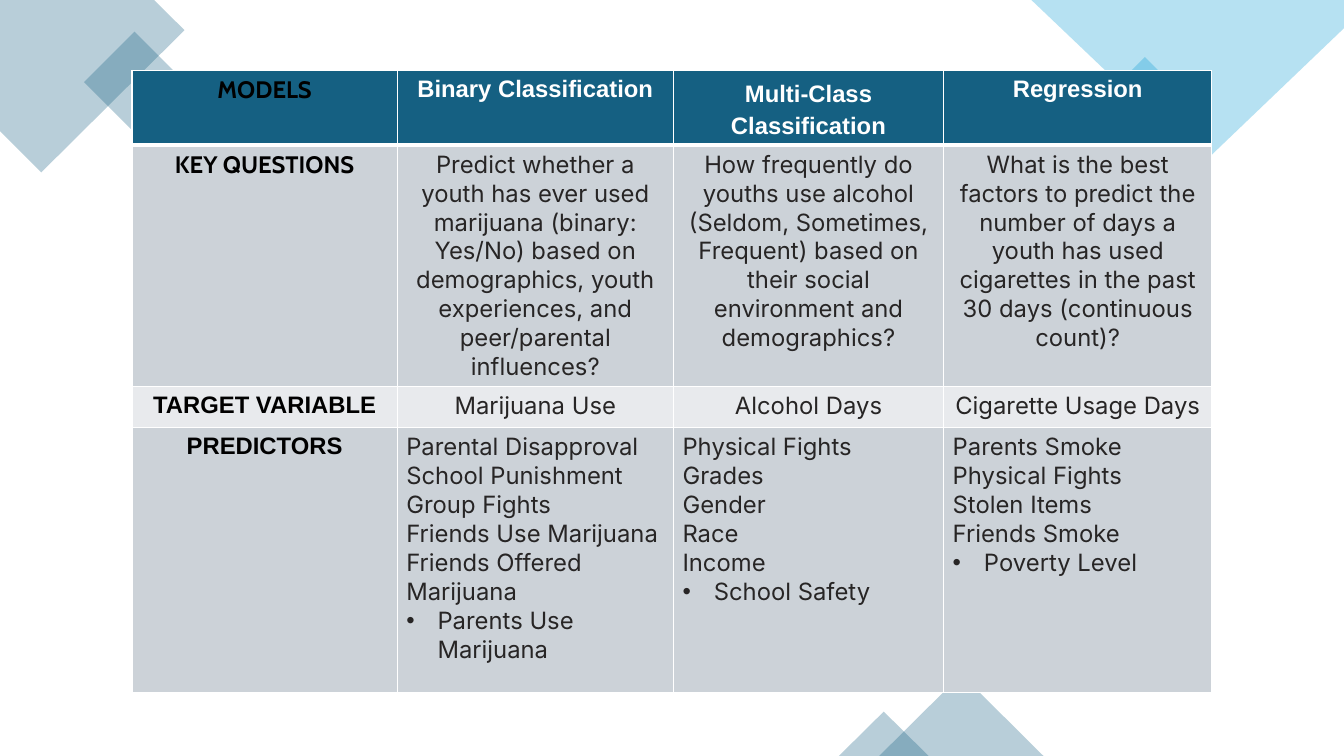
import pptx
import pptx.dml.color
import pptx.enum.shapes
import pptx.enum.text
import pptx.oxml.ns
import pptx.util
from lxml import etree

Inches = pptx.util.Inches
Pt = pptx.util.Pt
qn = pptx.oxml.ns.qn
SHAPES = pptx.enum.shapes.MSO_SHAPE
ALIGN = pptx.enum.text.PP_ALIGN

TEAL, SKY, WHITE, BLACK, INK = "156082", "0F9ED5", "FFFFFF", "000000", "272525"
BAND_DARK, BAND_LIGHT = "CCD2D8", "E8EAED"

HEADINGS = ["Binary Classification", "Multi-Class Classification", "Regression"]
QUESTIONS = [
    "Predict whether a youth has ever used marijuana (binary: Yes/No) based on "
    "demographics, youth experiences, and peer/parental influences?",
    "How frequently do youths use alcohol (Seldom, Sometimes, Frequent) based on "
    "their social environment and demographics?",
    "What is the best factors to predict the number of days a youth has used "
    "cigarettes in the past 30 days (continuous count)?",
]
TARGETS = ["Marijuana Use", "Alcohol Days", "Cigarette Usage Days"]
PREDICTORS = [
    ["Parental Disapproval", "School Punishment", "Group Fights", "Friends Use Marijuana",
     "Friends Offered Marijuana", "Parents Use Marijuana"],
    ["Physical Fights", "Grades", "Gender", "Race", "Income", "School Safety"],
    ["Parents Smoke", "Physical Fights", "Stolen Items", "Friends Smoke", "Poverty Level"],
]


def color(value):
    return pptx.dml.color.RGBColor.from_string(value)


def tint(shape, fill):
    """Give a shape a 30% opaque fill, without outline or shadow."""
    shape.shadow.inherit = False
    shape.line.fill.background()
    shape.fill.solid()
    shape.fill.fore_color.rgb = color(fill)
    rgb = shape.element.spPr.find(qn("a:solidFill")).find(qn("a:srgbClr"))
    etree.SubElement(rgb, qn("a:alpha"), val="30000")


def add_polygon(page, points, fill):
    corners = [(Inches(x), Inches(y)) for x, y in points]
    builder = page.shapes.build_freeform(*corners[0])
    builder.add_line_segments(corners[1:], close=True)
    tint(builder.convert_to_shape(), fill)


def add_preset(page, kind, box, fill, rotation=0):
    shape = page.shapes.add_shape(kind, *map(Inches, box))
    shape.rotation = rotation
    tint(shape, fill)


def add_decoration(page):
    add_polygon(page, [(1.53, 0), (0, 0), (0, 1.3), (0.41, 1.71), (1.83, 0.3)], TEAL)
    add_preset(page, SHAPES.RECTANGLE, (0.98, 0.46, 0.71, 0.71), TEAL, 315)
    add_preset(page, SHAPES.RECTANGLE, (10.98, 0.72, 0.75, 0.75), SKY, 315)
    add_polygon(page, [(13.33, 0), (10.23, 0), (11.93, 1.62), (13.33, 0.28)], SKY)
    add_preset(page, SHAPES.ISOSCELES_TRIANGLE, (8.72, 6.69, 1.63, 0.81), TEAL)
    add_preset(page, SHAPES.ISOSCELES_TRIANGLE, (8.32, 7.06, 0.89, 0.44), TEAL)


def write(frame, lines, font="Inter", ink=INK, bold=False, align=ALIGN.CENTER,
          spacing=None, last_bullet=False):
    """Write one paragraph per line; last_bullet marks the final one."""
    for index, line in enumerate(lines):
        para = frame.paragraphs[0] if index == 0 else frame.add_paragraph()
        para.alignment = align
        if spacing:
            para.line_spacing = Pt(spacing)
        span = para.add_run()
        span.text = line
        span.font.name, span.font.size, span.font.bold = font, Pt(17), bold
        span.font.color.rgb = color(ink)
    if last_bullet:
        props = para._p.get_or_add_pPr()
        props.set("marL", str(Inches(0.31)))
        props.set("indent", str(Inches(-0.31)))
        etree.SubElement(props, qn("a:buFont"), typeface="Arial")
        etree.SubElement(props, qn("a:buChar"), char="•")


def style_cell(cell, fill, top=1, bottom=1):
    """Set margins, white borders (widths in points) and fill."""
    cell.margin_left = cell.margin_right = Inches(0.09)
    cell.margin_top = cell.margin_bottom = Inches(0.05)
    props = cell._tc.get_or_add_tcPr()
    for side, width in (("L", 1), ("R", 1), ("T", top), ("B", bottom)):
        line = etree.SubElement(props, qn("a:ln" + side), w=str(Pt(width)))
        paint = etree.SubElement(line, qn("a:solidFill"))
        etree.SubElement(paint, qn("a:srgbClr"), val=WHITE)
    cell.fill.solid()
    cell.fill.fore_color.rgb = color(fill)


def add_models_table(page, left, top, widths, heights):
    box = [Inches(n) for n in (left, top, sum(widths), sum(heights))]
    table = page.shapes.add_table(len(heights), len(widths), *box).table
    for column, width in zip(table.columns, widths):
        column.width = Inches(width)
    for row, height in zip(table.rows, heights):
        row.height = Inches(height)

    fills = [TEAL, BAND_DARK, BAND_LIGHT, BAND_DARK]
    labels = [("MODELS", "Cabin"), ("KEY QUESTIONS", "Cabin"),
              ("TARGET VARIABLE", "Arial"), ("PREDICTORS", "Arial")]
    for index, (fill, (label, font)) in enumerate(zip(fills, labels)):
        for cell in table.rows[index].cells:
            style_cell(cell, fill, top=3 if index == 1 else 1, bottom=3 if index == 0 else 1)
        write(table.cell(index, 0).text_frame, [label], font=font, ink=BLACK, bold=True)

    models = zip(HEADINGS, QUESTIONS, TARGETS, PREDICTORS)
    for column, (heading, question, target, predictors) in enumerate(models, start=1):
        frames = [table.cell(row, column).text_frame for row in range(len(heights))]
        write(frames[0], [heading], font="Arial", ink=WHITE, bold=True,
              spacing=23 if column == 2 else None)
        write(frames[1], [question])
        write(frames[2], [target])
        write(frames[3], predictors, align=ALIGN.LEFT, last_bullet=True)


def main():
    deck = pptx.Presentation()
    deck.slide_width, deck.slide_height = Inches(13.33), Inches(7.5)
    page = deck.slides.add_slide(deck.slide_layouts[6])
    add_decoration(page)
    add_models_table(page, 1.31, 0.7, [2.63, 2.74, 2.68, 2.66], [0.7, 2.35, 0.41, 2.63])
    deck.save("out.pptx")


if __name__ == "__main__":
    main()
